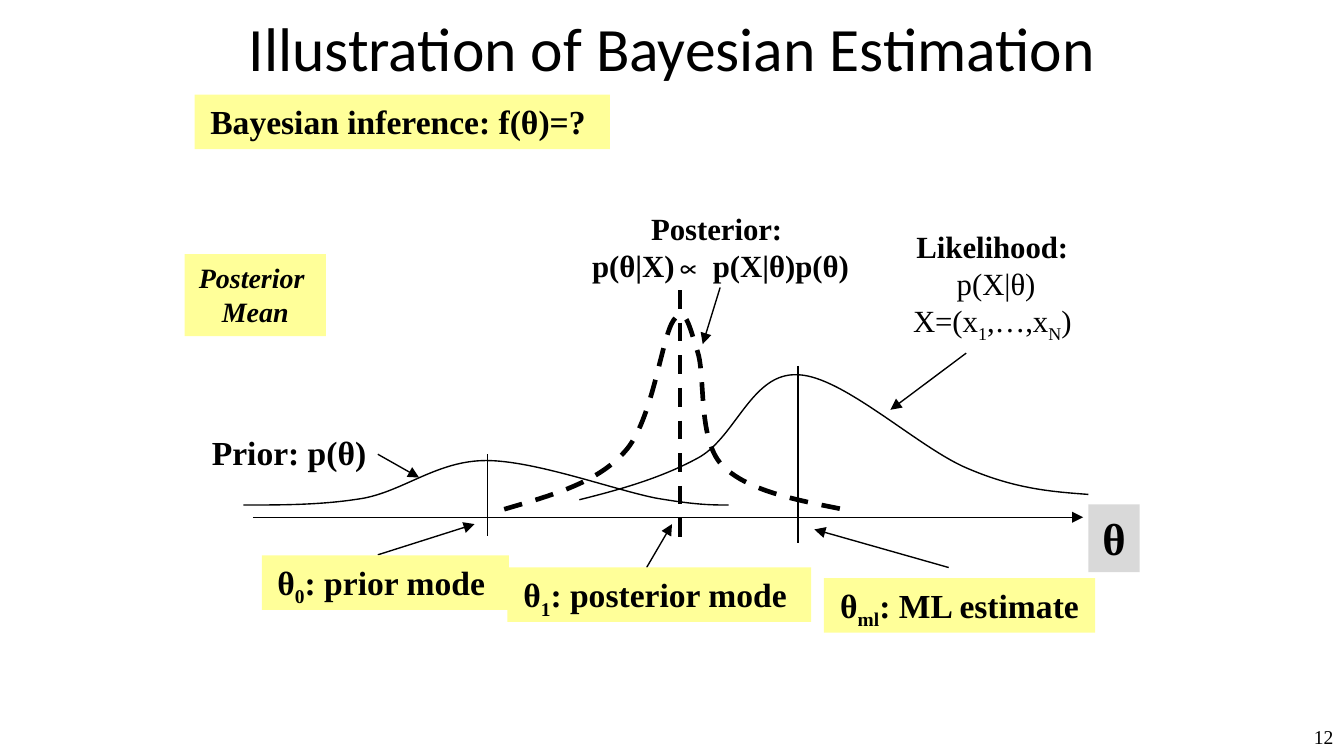
from lxml import etree
from pptx import Presentation
from pptx import util as u
from pptx.dml.color import RGBColor
from pptx.enum import dml, shapes, text
from pptx.oxml.ns import qn

Cm, Pt = u.Cm, u.Pt
SERIF = "Times New Roman"
YELLOW, GREY, BLACK = "FFFF99", "D9D9D9", "000000"


def style(line, width):
    """Black line; the heavy ones are dashed."""
    line.color.rgb = RGBColor.from_string(BLACK)
    line.width = Pt(width)
    if width > 1:
        line.dash_style = dml.MSO_LINE.DASH


def write(frame, lines, size, font=SERIF, bold=1, italic=False, align=text.PP_ALIGN.CENTER):
    """Fill a frame; '~' toggles subscript, and the first `bold` lines are bold."""
    for row, words in enumerate(lines):
        para = frame.paragraphs[0] if row == 0 else frame.add_paragraph()
        para.alignment = align
        for i, part in enumerate(words.split("~")):
            run = para.add_run()
            run.text = part
            run.font.name, run.font.size = font, Pt(size)
            run.font.bold, run.font.italic = row < bold, italic
            run.font.color.rgb = RGBColor.from_string(BLACK)
            if i % 2:
                run._r.get_or_add_rPr().set("baseline", "-25000")


deck = Presentation()
deck.slide_width, deck.slide_height = Cm(25.4), Cm(14.28)
slide = deck.slides.add_slide(deck.slide_layouts[5])
items = slide.shapes

# Title and slide number
title = items.title
title.left, title.top, title.width, title.height = Cm(3.25), Cm(0), Cm(18.9), Cm(1.78)
page = items.add_textbox(Cm(19.48), Cm(13.53), Cm(5.92), Cm(0.76))
for box in (title, page):
    frame = box.text_frame
    frame.word_wrap = True
    frame.margin_left = frame.margin_right = Cm(0.2)
    frame.margin_top = frame.margin_bottom = Cm(0.1)
    frame.vertical_anchor = text.MSO_ANCHOR.MIDDLE
write(title.text_frame, ["Illustration of Bayesian Estimation"], 33, "Calibri", bold=0)
write(page.text_frame, ["12"], 10.5, bold=0, align=text.PP_ALIGN.RIGHT)

# Density curves: start point, then two handles and an end point per arc
prior = [(4.6, 9.54),
         (5.36, 9.54), (6.12, 9.54), (6.88, 9.41),
         (7.65, 9.26), (8.28, 8.7), (9.19, 8.7),
         (10.11, 8.7), (11.63, 9.26), (12.4, 9.41),
         (13.16, 9.54), (13.46, 9.54), (13.77, 9.54)]
likely = [(10.95, 9.44),
          (11.76, 9.24), (12.55, 9.01), (13.23, 8.63),
          (13.92, 8.22), (14.22, 7.03), (15.08, 7.08),
          (15.93, 7.1), (17.37, 8.47), (18.29, 8.85),
          (19.2, 9.24), (19.89, 9.29), (20.57, 9.34)]
post = [(9.53, 9.62),
        (10.41, 9.36), (11.28, 9.13), (11.81, 8.53),
        (12.34, 7.95), (12.5, 6.38), (12.73, 6.05),
        (12.95, 5.74), (13.03, 6.17), (13.18, 6.63),
        (13.34, 7.09), (13.18, 8.28), (13.64, 8.78),
        (14.1, 9.26), (15.01, 9.44), (15.93, 9.62)]
for knots, width in ((prior, 0.75), (likely, 0.75), (post, 2.5)):
    dots = [(Cm(x), Cm(y)) for x, y in knots]
    pen = items.build_freeform(*dots[0])
    pen.add_line_segments(dots[1:], close=False)
    curve = pen.convert_to_shape()
    route = next(curve._element.iter(qn("a:path")))
    legs = route.findall(qn("a:lnTo"))
    for k in range(0, len(legs), 3):  # three points make one Bézier arc
        arc = etree.SubElement(route, qn("a:cubicBezTo"))
        for leg in legs[k:k + 3]:
            arc.append(leg[0])
            route.remove(leg)
    curve.shadow.inherit = False
    curve.fill.background()
    style(curve.line, width)

# Axis, mode lines and pointers: x1, y1, x2, y2, width, arrow
for x1, y1, x2, y2, width, arrow in (
    (4.78, 9.77, 20.47, 9.77, 0.75, True),
    (9.21, 8.58, 9.21, 10.13, 0.75, False),
    (15.08, 6.91, 15.08, 10.26, 0.75, False),
    (12.85, 5.48, 12.85, 10.26, 2.5, False),
    (7.14, 8.58, 7.92, 9.02, 0.75, True),
    (18.26, 6.67, 16.83, 7.74, 0.75, True),
    (13.61, 5.43, 13.28, 6.5, 0.75, True),
    (7.14, 10.48, 8.97, 9.9, 0.75, True),
    (17.93, 10.72, 15.39, 10, 0.75, True),
    (12.22, 10.72, 12.7, 9.9, 0.75, True),
):
    link = items.add_connector(shapes.MSO_CONNECTOR.STRAIGHT, Cm(x1), Cm(y1), Cm(x2), Cm(y2))
    style(link.line, width)
    if arrow:
        etree.SubElement(link.line._get_or_add_ln(), qn("a:tailEnd"), type="triangle")
    etree.SubElement(link._element.spPr, qn("a:effectLst"))

# Labels: place, fill, lines, size, bold lines, wrap, italic
for place, fill, lines, size, bold, wrap, italic in (
    ((3.74, 8.03, 3.45, 1.03), None, ["Prior: p(θ)"], 18, 1, False, False),
    ((16.95, 4.18, 3.61, 2.36), None,
     ["Likelihood:", " p(X|θ)", "X=(x~1~,…,x~N~)"], 16.5, 1, False, False),
    ((10.42, 3.84, 6.25, 2.36), None,
     ["Posterior:", " p(θ|X)∝ p(X|θ)p(θ)"], 16.5, 2, True, False),
    ((20.57, 9.53, 0.97, 1.28), GREY, ["θ"], 24, 1, False, False),
    ((4.95, 10.49, 4.67, 1.03), YELLOW, ["θ~0~: prior mode "], 18, 1, False, False),
    ((15.57, 10.92, 5.13, 1.03), YELLOW, ["θ~ml~: ML estimate"], 18, 1, False, False),
    ((9.59, 10.72, 5.74, 1.03), YELLOW, ["θ~1~: posterior mode "], 18, 1, False, False),
    ((3.68, 1.79, 7.85, 1.03), YELLOW, ["Bayesian inference: f(θ)=? "], 18, 1, True, False),
    ((3.49, 4.8, 2.67, 1.55), YELLOW, ["Posterior ", "Mean"], 15, 2, False, True),
):
    if fill:
        label = items.add_shape(shapes.MSO_SHAPE.RECTANGLE, *map(Cm, place))
        label.shadow.inherit = False
        label.fill.solid()
        label.fill.fore_color.rgb = RGBColor.from_string(fill)
        label.line.fill.background()
    else:
        label = items.add_textbox(*map(Cm, place))
    frame = label.text_frame
    frame.word_wrap = wrap
    frame.auto_size = text.MSO_AUTO_SIZE.SHAPE_TO_FIT_TEXT
    frame.vertical_anchor = text.MSO_ANCHOR.TOP
    write(frame, lines, size, bold=bold, italic=italic)

deck.save("out.pptx")
